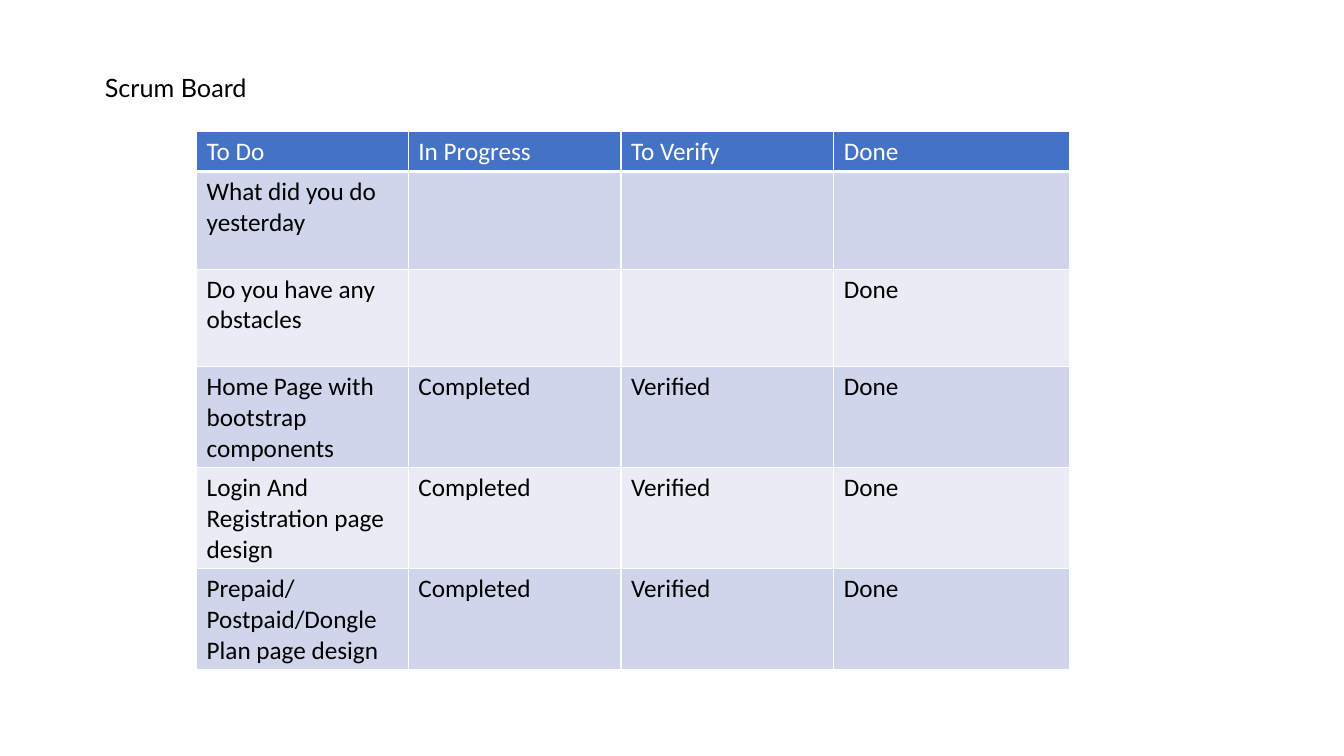
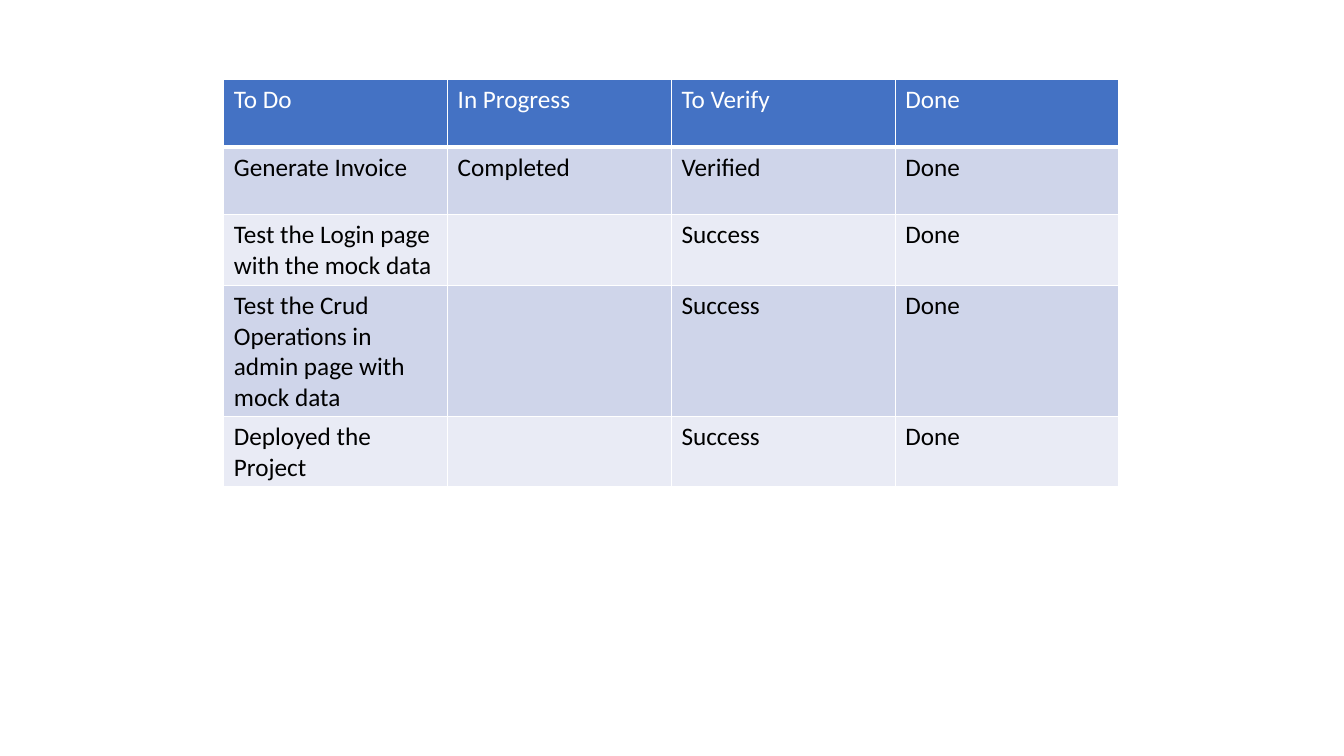
from dataclasses import dataclass

from pptx import Presentation
from pptx.dml.color import RGBColor as Color
from pptx.enum.text import MSO_ANCHOR as Anchor, MSO_AUTO_SIZE as AutoSize, PP_ALIGN as Align
from pptx.oxml.ns import qn
from pptx.util import Inches, Pt
from lxml.etree import SubElement


@dataclass(frozen=True)
class Theme:
    """Colours, fonts and sizes shared by the slides."""
    header: str = "4472C4"
    bands: tuple = ("CFD5EA", "E9EBF5")
    light: str = "FFFFFF"
    dark: str = "000000"
    title_font: str = "Lato"
    body_font: str = "Calibri"
    text_size: int = 18
    border: int = 1
    header_border: int = 3


class Board:
    """Builds scrum board slides in one style."""
    TITLE_ONLY, BLANK = 5, 6

    def __init__(self, theme):
        """Start an empty widescreen deck."""
        self.theme = theme
        self.deck = Presentation()
        self.deck.slide_width, self.deck.slide_height = Inches(13.33), Inches(7.5)
        self.page = None

    def add_page(self, layout):
        """Add a slide and make it current."""
        self.page = self.deck.slides.add_slide(self.deck.slide_layouts[layout])

    def style_text(self, frame, font, color):
        """Format every run of a text frame."""
        for para in frame.paragraphs:
            for span in para.runs:
                span.font.name, span.font.size = font, Pt(self.theme.text_size)
                span.font.bold = False
                span.font.color.rgb = Color.from_string(color)

    def title(self, text, left, top, width, height):
        """Place the title placeholder and fill it."""
        box = self.page.shapes.title
        box.left, box.top, box.width, box.height = map(Inches, (left, top, width, height))
        frame = box.text_frame
        frame.text = text
        frame.word_wrap, frame.auto_size = True, AutoSize.SHAPE_TO_FIT_TEXT
        frame.vertical_anchor = Anchor.TOP
        frame.paragraphs[0].alignment = Align.LEFT
        self.style_text(frame, self.theme.title_font, self.theme.dark)

    def borders(self, cell, bottom):
        """Draw the four cell borders, the lower one at its own width."""
        properties = cell._tc.get_or_add_tcPr()
        for side in "LRTB":
            width = bottom if side == "B" else self.theme.border
            line = SubElement(properties, qn(f"a:ln{side}"), w=str(Pt(width)))
            fill = SubElement(line, qn("a:solidFill"))
            SubElement(fill, qn("a:srgbClr"), val=self.theme.light)

    def table(self, left, top, widths, heights, rows):
        """Add a table with a header row and banded body rows."""
        theme = self.theme
        grid = self.page.shapes.add_table(
            len(rows), len(widths), Inches(left), Inches(top),
            Inches(sum(widths)), Inches(sum(heights))).table
        for column, width in zip(grid.columns, widths):
            column.width = Inches(width)
        for index, (row, height, texts) in enumerate(zip(grid.rows, heights, rows)):
            row.height = Inches(height)
            is_header = index == 0
            shade = theme.header if is_header else theme.bands[(index - 1) % 2]
            for cell, text in zip(row.cells, texts):
                self.borders(cell, theme.header_border if is_header else theme.border)
                cell.fill.solid()
                cell.fill.fore_color.rgb = Color.from_string(shade)
                cell.text_frame.text = text
                self.style_text(cell.text_frame, theme.body_font,
                                theme.light if is_header else theme.dark)


STAGES = ("To Do", "In Progress", "To Verify", "Done")
VERIFIED = ("Completed", "Verified", "Done")
TESTED = ("", "Success", "Done")

board = Board(Theme())

board.add_page(Board.TITLE_ONLY)
board.title("Scrum Board", 0.94, 0.67, 10.11, 0.4)
board.table(1.95, 1.3, (2.1, 2.11, 2.11, 2.34), (0.4, 0.97, 0.97, 1, 1, 1), (
    STAGES,
    ("What did you do yesterday", "", "", ""),
    ("Do you have any obstacles", "", "", "Done"),
    ("Home Page with bootstrap components", *VERIFIED),
    ("Login And Registration page design", *VERIFIED),
    ("Prepaid/Postpaid/Dongle Plan page design", *VERIFIED),
))

board.add_page(Board.BLANK)
board.table(2.22, 0.79, (2.22,) * 4, (0.67,) * 5, (
    STAGES,
    ("Generate Invoice", *VERIFIED),
    ("Test the Login page with the mock data", *TESTED),
    ("Test the Crud Operations in admin page with mock data", *TESTED),
    ("Deployed the Project", *TESTED),
))

board.deck.save("out.pptx")
